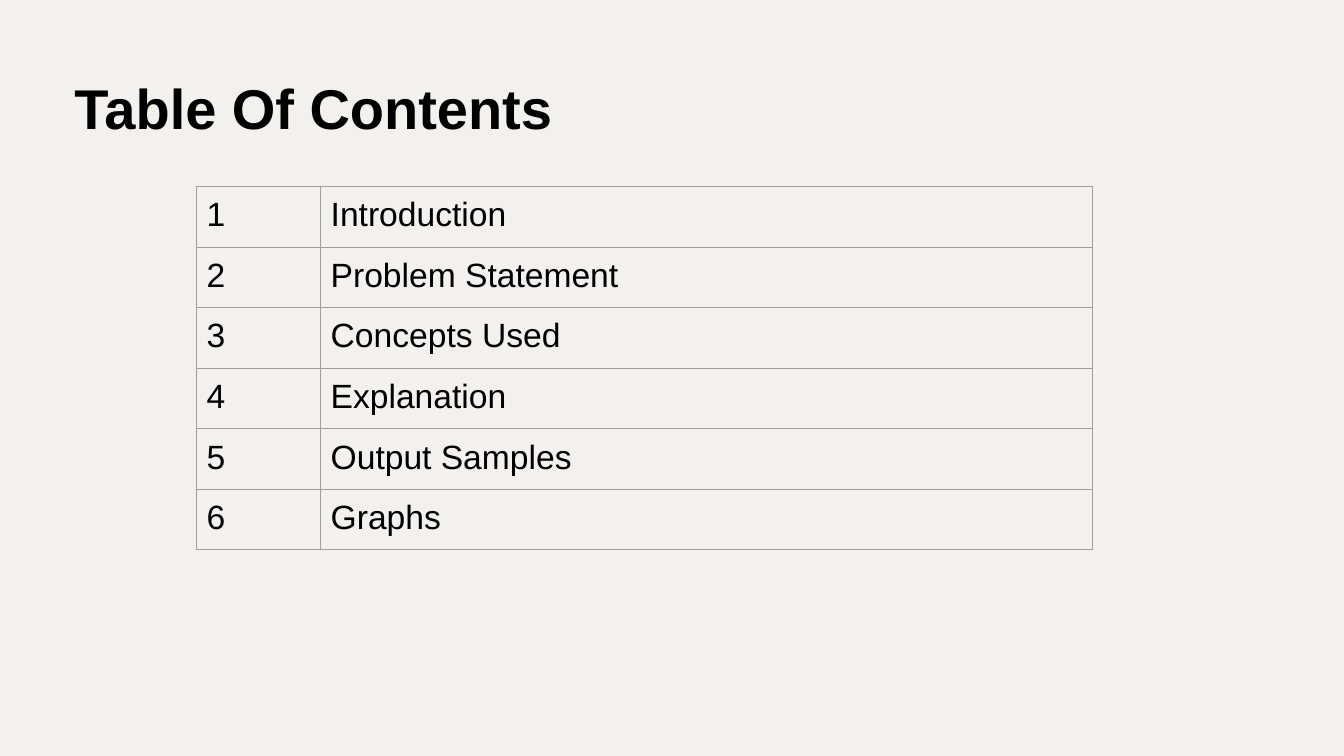
from lxml import etree
from pptx import Presentation
from pptx.dml.color import RGBColor
from pptx.enum.text import MSO_ANCHOR
from pptx.oxml.ns import qn
from pptx.util import Inches, Pt

BOTTOM = MSO_ANCHOR.BOTTOM
BACKGROUND = RGBColor(0xF2, 0xF1, 0xEE)
BLACK = RGBColor(0x00, 0x00, 0x00)
BORDER = RGBColor(0x9E, 0x9E, 0x9E)
FONT = "Arial"
TOPICS = ["Introduction", "Problem Statement", "Concepts Used",
          "Explanation", "Output Samples", "Graphs"]
COLUMN_WIDTHS = [1.23, 7.66]
ROW_HEIGHT = 0.57


def write(p, text, size, bold=False):
    r = p.add_run()
    r.text = text
    r.font.color.rgb = BLACK
    for name, value in {"name": FONT, "size": Pt(size), "bold": bold}.items():
        setattr(r.font, name, value)


def add_title(s, text):
    sp = s.shapes.add_textbox(Inches(0.64), Inches(0), Inches(11.5), Inches(1.45))
    tf = sp.text_frame
    tf.word_wrap = True
    tf.vertical_anchor = BOTTOM
    p = tf.paragraphs[0]
    p.line_spacing = 0.9
    write(p, text, 40, bold=True)


def add_borders(cell):
    tc_pr = cell._tc.get_or_add_tcPr()
    for side in ("lnL", "lnR", "lnT", "lnB"):
        ln = etree.SubElement(tc_pr, qn(f"a:{side}"), w=str(Pt(0.75)))
        fill = etree.SubElement(ln, qn("a:solidFill"))
        etree.SubElement(fill, qn("a:srgbClr"), val=str(BORDER))


def fill_cell(cell, text):
    for side in ("left", "right", "top", "bottom"):
        setattr(cell, f"margin_{side}", Inches(0.1))
    add_borders(cell)
    cell.fill.background()
    write(cell.text_frame.paragraphs[0], text, 24)


def add_contents_table(s, topics):
    frame = s.shapes.add_table(
        len(topics), len(COLUMN_WIDTHS), Inches(1.95), Inches(1.85),
        Inches(sum(COLUMN_WIDTHS)), Inches(ROW_HEIGHT * len(topics)))
    table = frame.table
    table.first_row = False
    table.horz_banding = False
    for column, width in zip(table.columns, COLUMN_WIDTHS):
        column.width = Inches(width)
    for number, (row, topic) in enumerate(zip(table.rows, topics), 1):
        row.height = Inches(ROW_HEIGHT)
        for cell, text in zip(row.cells, (str(number), topic)):
            fill_cell(cell, text)


def main():
    prs = Presentation()
    prs.slide_width = Inches(13.33)
    prs.slide_height = Inches(7.5)
    s = prs.slides.add_slide(prs.slide_layouts[6])
    s.background.fill.solid()
    s.background.fill.fore_color.rgb = BACKGROUND
    add_title(s, "Table Of Contents")
    add_contents_table(s, TOPICS)
    prs.save("out.pptx")


if __name__ == "__main__":
    main()
